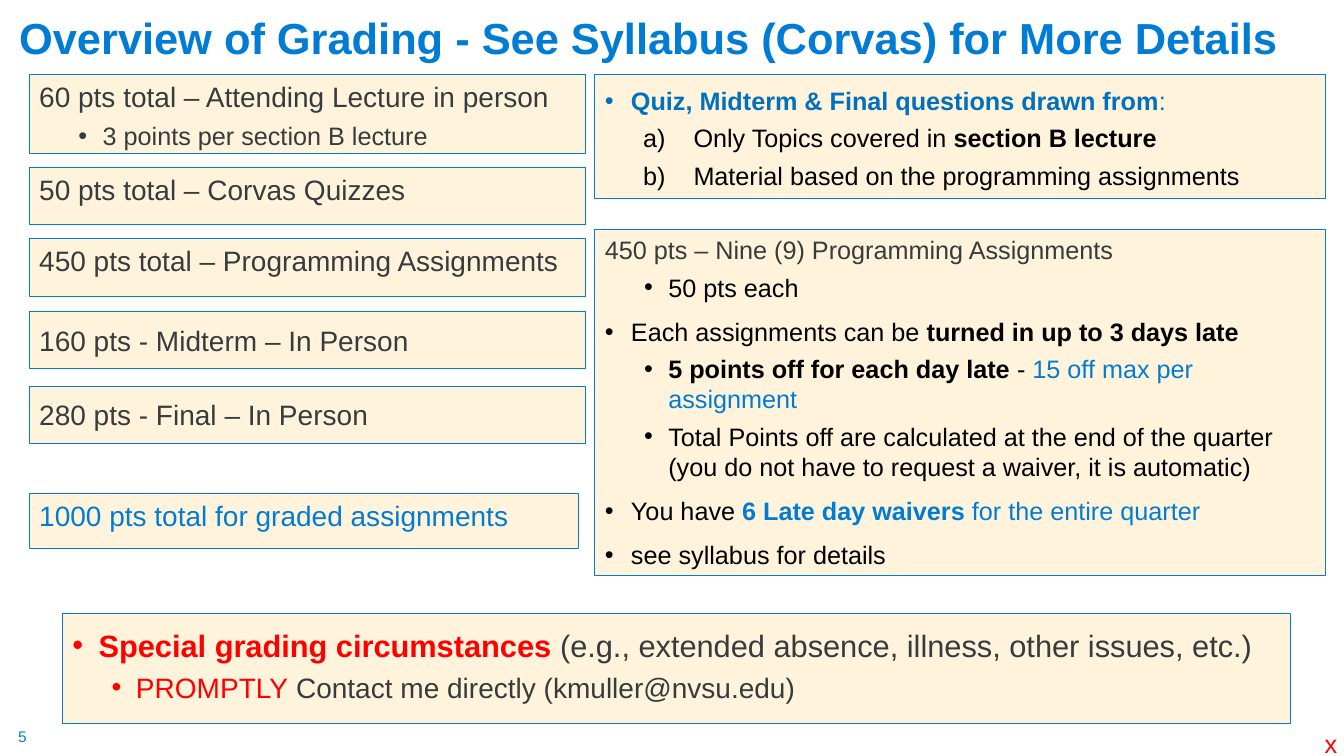
"""Build the grading overview slide."""
from lxml.etree import SubElement
from pptx import Presentation
from pptx.dml.color import RGBColor
from pptx.enum.shapes import MSO_SHAPE
from pptx.enum.text import MSO_ANCHOR, MSO_AUTO_SIZE, PP_ALIGN
from pptx.oxml.ns import qn
from pptx.util import Inches, Pt

BLUE = RGBColor(0x00, 0x7C, 0xD5)
DEEP = RGBColor(0x00, 0x70, 0xC0)
CREAM = RGBColor(0xFF, 0xF4, 0xDB)
GRAY = RGBColor(0x36, 0x3B, 0x3E)
BLACK = RGBColor(0, 0, 0)
RED = RGBColor(0xFF, 0, 0)

TITLE = "Overview of Grading - See Syllabus (Corvas) for More Details"

# style: left margin, indent, level, space before, bullet tag, bullet values
STYLES = {
    "plain": (0, 0, 0, 10, "a:buNone", {}),
    "dot": (0.26, -0.26, 0, 10, "a:buChar", {"char": "•"}),
    "sub": (0.63, -0.24, 1, 5, "a:buChar", {"char": "•"}),
    "letter": (0.88, -0.5, 1, 5, "a:buAutoNum", {"type": "alphaLcParenR"}),
}

# box: place, then lines of (style, size, line spacing, runs)
LEFT, WIDE, ROW = 0.29, 5.52, 0.57
BOXES = [
    ((LEFT, 0.74, WIDE, 0.78), [
        ("plain", 20, 1, [("60 pts total – Attending Lecture in person", GRAY, False)]),
        ("sub", 18, 1, [("3 points per section B lecture", GRAY, False)]),
    ]),
    ((LEFT, 1.66, WIDE, ROW), [
        ("plain", 20, 1, [("50 pts total – Corvas Quizzes", GRAY, False)]),
    ]),
    ((LEFT, 2.37, WIDE, ROW), [
        ("plain", 20, 1, [("450 pts total – Programming Assignments", GRAY, False)]),
    ]),
    ((LEFT, 3.09, WIDE, ROW), [
        ("plain", 20, 1.2, [("160 pts - Midterm – In Person", GRAY, False)]),
    ]),
    ((LEFT, 3.83, WIDE, ROW), [
        ("plain", 20, 1.2, [("280 pts - Final – In Person", GRAY, False)]),
    ]),
    ((LEFT, 4.9, 5.45, 0.54), [
        ("plain", 20, 1, [("1000 pts total for graded assignments", BLUE, False)]),
    ]),
    ((5.9, 0.74, 7.25, 1.23), [
        ("dot", 18, 1.2, [("Quiz, Midterm & Final questions drawn from", DEEP, True),
                          (":", DEEP, False)]),
        ("letter", 18, 1, [("Only Topics covered in ", BLACK, False),
                           ("section B lecture", BLACK, True)]),
        ("letter", 18, 1, [("Material based on the programming assignments", BLACK, False)]),
    ]),
    ((5.9, 2.28, 7.25, 3.43), [
        ("plain", 18, 1, [("450 pts – Nine (9) Programming Assignments", GRAY, False)]),
        ("sub", 18, 1, [("50 pts each", BLACK, False)]),
        ("dot", 18, 1, [("Each assignments can be ", BLACK, False),
                        ("turned in up to 3 days late", BLACK, True)]),
        ("sub", 18, 1, [("5 points off for each day late ", BLACK, True),
                        ("- ", BLACK, False),
                        ("15 off max per assignment", BLUE, False)]),
        ("sub", 18, 1, [("Total Points off are calculated at the end of the quarter "
                         "(you do not have to request a waiver, it is automatic)",
                         BLACK, False)]),
        ("dot", 18, 1, [("You have ", BLACK, False),
                        ("6 Late day waivers ", BLUE, True),
                        ("for the entire quarter", BLUE, False)]),
        ("dot", 18, 1, [("see syllabus for details", BLACK, False)]),
    ]),
    ((0.62, 6.09, 12.18, 1.09), [
        ("dot", 22, 1.2, [("Special grading circumstances ", RED, True),
                          ("(e.g., extended absence, illness, other issues, etc.)",
                           GRAY, False)]),
        ("sub", 20, 1, [("PROMPTLY", RED, False),
                        (" Contact me directly (kmuller@nvsu.edu)", GRAY, False)]),
    ]),
]

# note: place, inset, text, size, colour
NOTES = [
    ((0.18, 7.21, 0.19, 0.19), (0, 0), "5", 11, BLUE),
    ((13.04, 7.18, 0.33, 0.4), (0.1, 0.05), "x", 18, RED),
]


def apply(item, values):
    """Set each named value on the item."""
    for name, value in values.items():
        setattr(item, name, value)


def add_run(para, text, size, color, bold=False):
    """Add one formatted run."""
    run = para.add_run()
    run.text = text
    apply(run.font, {"name": "Arial", "size": Pt(size), "bold": bold})
    run.font.color.rgb = color


def add_line(para, style, size, space, runs):
    """Fill a paragraph in one of the list styles."""
    margin, indent, level, before, tag, values = STYLES[style]
    apply(para, {"alignment": PP_ALIGN.LEFT, "level": level,
                 "line_spacing": space, "space_before": Pt(before)})
    props = para._p.get_or_add_pPr()
    props.set("marL", str(Inches(margin)))
    props.set("indent", str(Inches(indent)))
    if values:
        SubElement(props, qn("a:buFont"), typeface="Arial")
    SubElement(props, qn(tag), **values)
    for text, color, bold in runs:
        add_run(para, text, size, color, bold)


def add_box(slide, place, lines):
    """Add a cream box with its lines."""
    box = slide.shapes.add_shape(MSO_SHAPE.RECTANGLE, *map(Inches, place))
    box.shadow.inherit = False
    box.fill.solid()
    box.fill.fore_color.rgb = CREAM
    box.line.color.rgb = BLUE
    box.line.width = Pt(0.75)
    frame = box.text_frame
    apply(frame, {"word_wrap": True, "vertical_anchor": MSO_ANCHOR.TOP})
    for rank, line in enumerate(lines):
        para = frame.add_paragraph() if rank else frame.paragraphs[0]
        add_line(para, *line)


def add_note(slide, place, inset, text, size, color):
    """Add a small unwrapped label."""
    frame = slide.shapes.add_textbox(*map(Inches, place)).text_frame
    side, edge = map(Inches, inset)
    apply(frame, {"word_wrap": False, "auto_size": MSO_AUTO_SIZE.SHAPE_TO_FIT_TEXT,
                  "margin_left": side, "margin_right": side,
                  "margin_top": edge, "margin_bottom": edge})
    add_run(frame.paragraphs[0], text, size, color)


def add_title(slide):
    """Place and format the title."""
    title = slide.shapes.title
    apply(title, {"left": Inches(0.09), "top": Inches(0.11),
                  "width": Inches(13.25), "height": Inches(0.57)})
    frame = title.text_frame
    apply(frame, {"word_wrap": True, "auto_size": MSO_AUTO_SIZE.NONE,
                  "vertical_anchor": MSO_ANCHOR.BOTTOM})
    para = frame.paragraphs[0]
    apply(para, {"alignment": PP_ALIGN.LEFT, "line_spacing": 0.9})
    add_run(para, TITLE, 31, BLUE, True)


def main():
    """Build and save the deck."""
    deck = Presentation()
    apply(deck, {"slide_width": Inches(13.33), "slide_height": Inches(7.5)})
    slide = deck.slides.add_slide(deck.slide_layouts[5])
    add_title(slide)
    for box in BOXES:
        add_box(slide, *box)
    for note in NOTES:
        add_note(slide, *note)
    deck.save("out.pptx")


if __name__ == "__main__":
    main()
